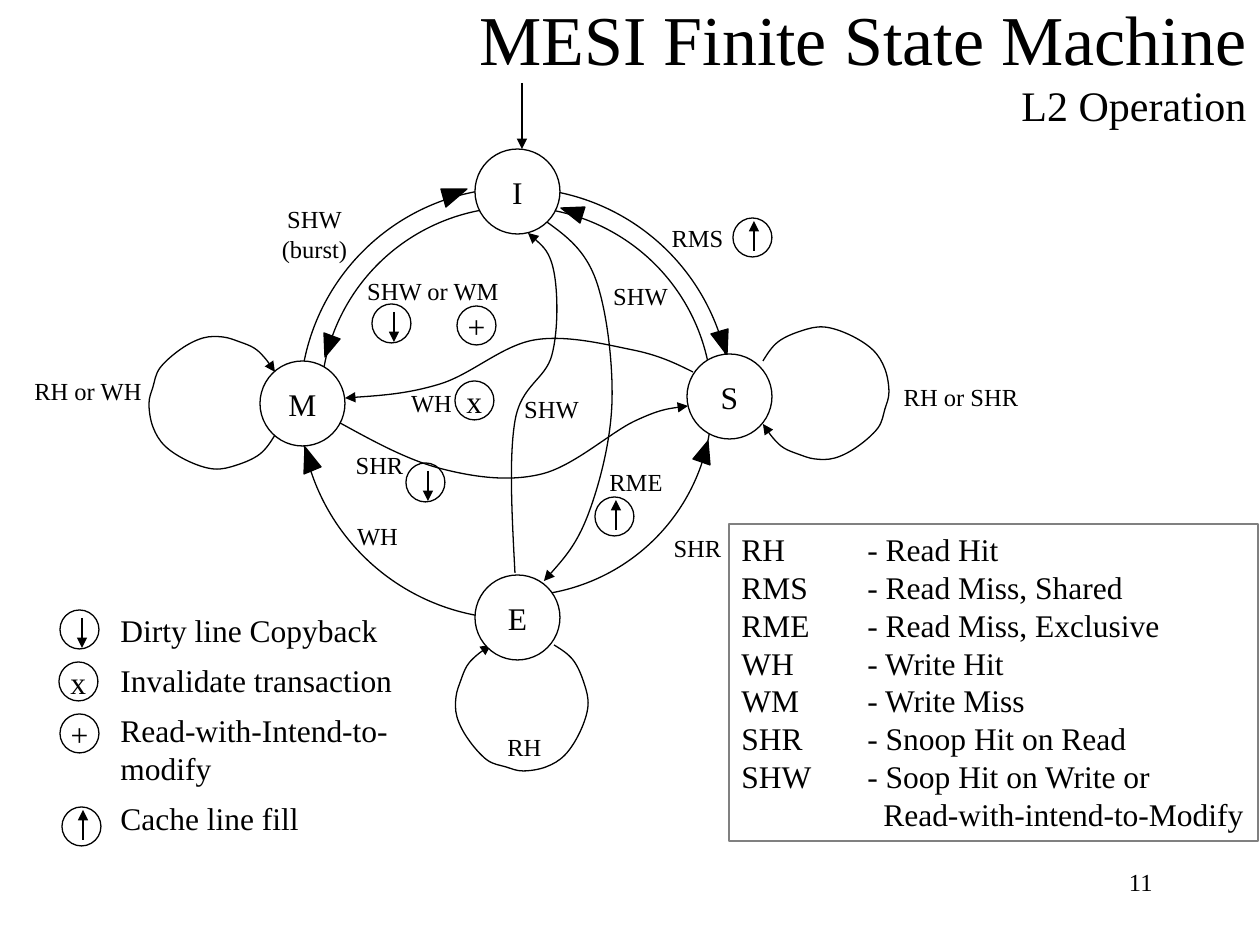
from dataclasses import dataclass

from lxml import etree
from pptx import Presentation
from pptx.dml.color import RGBColor
from pptx.enum.shapes import MSO_CONNECTOR, MSO_SHAPE
from pptx.enum.text import MSO_ANCHOR, PP_ALIGN
from pptx.oxml.ns import qn
from pptx.util import Pt

PX = 914400 / 126
FONT = "Times New Roman"
BLACK, WHITE, GRAY = "000000", "FFFFFF", "808080"
LEFT, CENTER, RIGHT = PP_ALIGN.LEFT, PP_ALIGN.CENTER, PP_ALIGN.RIGHT
TOP, MIDDLE = MSO_ANCHOR.TOP, MSO_ANCHOR.MIDDLE
ARC, OVAL, RECT = MSO_SHAPE.ARC, MSO_SHAPE.OVAL, MSO_SHAPE.RECTANGLE
STRAIGHT = MSO_CONNECTOR.STRAIGHT
ARC_UNITS_PER_DEGREE = 0.6
STATE_SIZE, BADGE_SIZE, SLACK = 85, 39, 3
Point = tuple[float, float]


@dataclass
class Label:
    text: str
    x: int
    y: int
    w: int
    h: int = 42


@dataclass
class Ring:
    x: int
    y: int
    w: int
    h: int
    start: int
    end: int


@dataclass
class Mark:
    text: str
    x: int
    y: int


@dataclass
class Loop:
    x: int
    y: int
    cos: int
    sin: int


RINGS = [Ring(321, 207, 391, 389, 180, 90), Ring(300, 188, 431, 431, 90, 0)]
ARROWHEADS = [
    [(325, 357), (340, 339), (324, 333)],
    [(708, 441), (693, 459), (710, 465)],
    [(561, 208), (580, 223), (585, 207)],
    [(727, 355), (711, 334), (728, 329)],
    [(305, 447), (321, 467), (304, 474)],
    [(467, 189), (446, 207), (441, 189)],
]
LOOP_KNOTS = [
    (63, 33), (48, 52), (25, 63), (2, 67), (-24, 59), (-47, 44), (-59, 25), (-63, 2), (-59, -15),
    (-52, -34), (-31, -53), (-9, -64), (11, -65), (28, -60), (42, -54), (52, -45), (63, -30),
]
LOOPS = [Loop(212, 402, 1, 0), Loop(826, 394, -1, 0), Loop(521, 708, 0, 1)]
TRANSITIONS = [
    [(515, 573), (515, 421), (552, 355), (554, 272), (528, 233)],
    [(547, 222), (596, 280), (612, 403), (588, 515), (544, 581)],
    [(693, 372), (633, 350), (534, 340), (440, 384), (345, 398)],
    [(340, 423), (442, 469), (542, 474), (635, 421), (688, 406)],
]
STATES = [Mark("M", 260, 361), Mark("I", 475, 149), Mark("E", 475, 575), Mark("S", 687, 354)]
BADGES = [
    Mark("down", 372, 304), Mark("+", 457, 306), Mark("up", 733, 218), Mark("up", 595, 497),
    Mark("x", 455, 381), Mark("down", 406, 463), Mark("down", 60, 610), Mark("x", 59, 662),
    Mark("+", 60, 714), Mark("up", 62, 807),
]
LABELS = [
    Label("RH or WH", 21, 370, 134), Label("SHW\n(burst)", 269, 198, 91, 72),
    Label("RH or SHR", 891, 376, 140), Label("SHW", 601, 275, 79),
    Label("SHW or WM", 354, 270, 158), Label("RMS", 659, 217, 77),
    Label("SHR", 661, 527, 73), Label("RH", 495, 726, 59), Label("SHW", 512, 388, 79),
    Label("RME", 597, 461, 78), Label("WH", 398, 382, 67), Label("SHR", 343, 444, 73),
    Label("WH", 344, 515, 67),
]
ABBREVIATIONS = [
    ("RH", "Read Hit"), ("RMS", "Read Miss, Shared"), ("RME", "Read Miss, Exclusive"),
    ("WH", "Write Hit"), ("WM", "Write Miss"), ("SHR", "Snoop Hit on Read"),
    ("SHW", "Soop Hit on Write or"),
]
KEY = "Dirty line Copyback\nInvalidate transaction\nRead-with-Intend-to-\nmodify\nCache line fill"

prs = Presentation()
prs.slide_width, prs.slide_height = round(1260 * PX), round(945 * PX)
s = prs.slides.add_slide(prs.slide_layouts[6])


def emu(*lengths: float) -> list[int]:
    return [round(v * PX) for v in lengths]


def rgb(value: str) -> RGBColor:
    return RGBColor.from_string(value)


def stroke(line, color: str = BLACK, arrow: bool = False) -> None:
    line.color.rgb = rgb(color)
    line.width = Pt(0.75)
    if arrow:
        etree.SubElement(line._get_or_add_ln(), qn("a:tailEnd"), type="triangle")


def write(sp, text: str, size: int, align=CENTER, anchor=TOP, wrap: bool = False):
    tf = sp.text_frame
    tf.text, tf.word_wrap, tf.vertical_anchor = text, wrap, anchor
    for p in tf.paragraphs:
        p.alignment = align
        for r in p.runs:
            r.font.name, r.font.size = FONT, Pt(size)
            r.font.color.rgb = rgb(BLACK)
    return tf


def text_box(label: Label, size: int, align=CENTER, anchor=TOP, wrap: bool = False):
    sp = s.shapes.add_textbox(*emu(label.x, label.y, label.w, label.h))
    return write(sp, label.text, size, align, anchor, wrap)


def shape(kind, x: int, y: int, w: int, h: int, fill: str = "", color: str = BLACK):
    sp = s.shapes.add_shape(kind, *emu(x, y, w, h))
    sp.shadow.inherit = False
    paint(sp, fill)
    stroke(sp.line, color)
    return sp


def paint(sp, fill: str) -> None:
    if fill:
        sp.fill.solid()
        sp.fill.fore_color.rgb = rgb(fill)
    else:
        sp.fill.background()


def arrow(x1: int, y1: int, x2: int, y2: int) -> None:
    c = s.shapes.add_connector(STRAIGHT, *emu(x1, y1, x2, y2))
    stroke(c.line, arrow=True)
    etree.SubElement(c._element.spPr, qn("a:effectLst"))


def outline(points: list[Point], closed: bool):
    start, *rest = [emu(*pt) for pt in points]
    fb = s.shapes.build_freeform(*start)
    fb.add_line_segments(rest, close=closed)
    sp = fb.convert_to_shape()
    sp.shadow.inherit = False
    paint(sp, BLACK if closed else "")
    stroke(sp.line, arrow=not closed)
    return sp


def midpoint(a: Point, b: Point) -> Point:
    return (a[0] + b[0]) / 2, (a[1] + b[1]) / 2


def curve(knots: list[Point]) -> None:
    before, after = [], []
    for a, b, c in zip(knots, knots[1:], knots[2:]):
        dx, dy = (c[0] - a[0]) / 6, (c[1] - a[1]) / 6
        before.append((b[0] - dx, b[1] - dy))
        after.append((b[0] + dx, b[1] + dy))
    after.insert(0, midpoint(knots[0], before[0]))
    before.append(midpoint(after[-1], knots[-1]))
    points = [knots[0]]
    for segment in zip(after, before, knots[1:]):
        points.extend(segment)
    sp = outline(points, False)
    lines = list(sp._element.iter(qn("a:lnTo")))
    for i in range(0, len(lines), 3):
        bezier = etree.SubElement(lines[i].getparent(), qn("a:cubicBezTo"))
        for ln in lines[i:i + 3]:
            bezier.append(ln[0])
            ln.getparent().remove(ln)


def badge(mark: Mark) -> None:
    sp = shape(OVAL, mark.x, mark.y, BADGE_SIZE, BADGE_SIZE)
    if mark.text == "down":
        arrow(mark.x + 22, mark.y + 8, mark.x + 22, mark.y + 38)
    elif mark.text == "up":
        arrow(mark.x + 21, mark.y + 33, mark.x + 21, mark.y + 3)
    else:
        write(sp, mark.text, 18, anchor=MIDDLE)


text_box(Label("11", 903, 861, 262, 63), 14, RIGHT, wrap=True)
title = Label("MESI Finite State Machine\vL2 Operation", 188, 0, 1071, 126)
tf = text_box(title, 40, RIGHT, MIDDLE, True)
tf.paragraphs[0].runs[1].font.size = Pt(24)

rows = [f"{short}\t- {meaning}" for short, meaning in ABBREVIATIONS]
sp = shape(RECT, 729, 524, 529, 317, color=GRAY)
tf = write(sp, "\n".join(rows + ["Read-with-intend-to-Modify"]), 18, LEFT)
for p in tf.paragraphs[:-1]:
    tabs = etree.SubElement(p._p.get_or_add_pPr(), qn("a:tabLst"))
    etree.SubElement(tabs, qn("a:tab"), pos=str(emu(126)[0]), algn="l")
tf.paragraphs[-1]._p.get_or_add_pPr().set("marL", str(emu(142)[0]))

for ring in RINGS:
    sp = shape(ARC, ring.x, ring.y, ring.w, ring.h)
    sp.adjustments[0] = ring.start * ARC_UNITS_PER_DEGREE
    sp.adjustments[1] = ring.end * ARC_UNITS_PER_DEGREE
for head in ARROWHEADS:
    outline(head, True)
arrow(522, 83, 522, 149)
for lp in LOOPS:
    curve([(lp.x + lp.cos * x + lp.sin * y, lp.y + lp.cos * y - lp.sin * x)
           for x, y in LOOP_KNOTS])
for state in STATES:
    sp = shape(OVAL, state.x, state.y, STATE_SIZE, STATE_SIZE, WHITE)
    write(sp, state.text, 18, anchor=MIDDLE)
for knots in TRANSITIONS:
    curve(knots)
for mark in BADGES:
    badge(mark)
for lb in LABELS:
    text_box(Label(lb.text, lb.x - SLACK, lb.y, lb.w + 2 * SLACK, lb.h), 14)

tf = text_box(Label(KEY, 108, 605, 298, 247), 18, LEFT)
for i in (1, 2, 4):
    tf.paragraphs[i].space_before = Pt(7)

prs.save("out.pptx")
